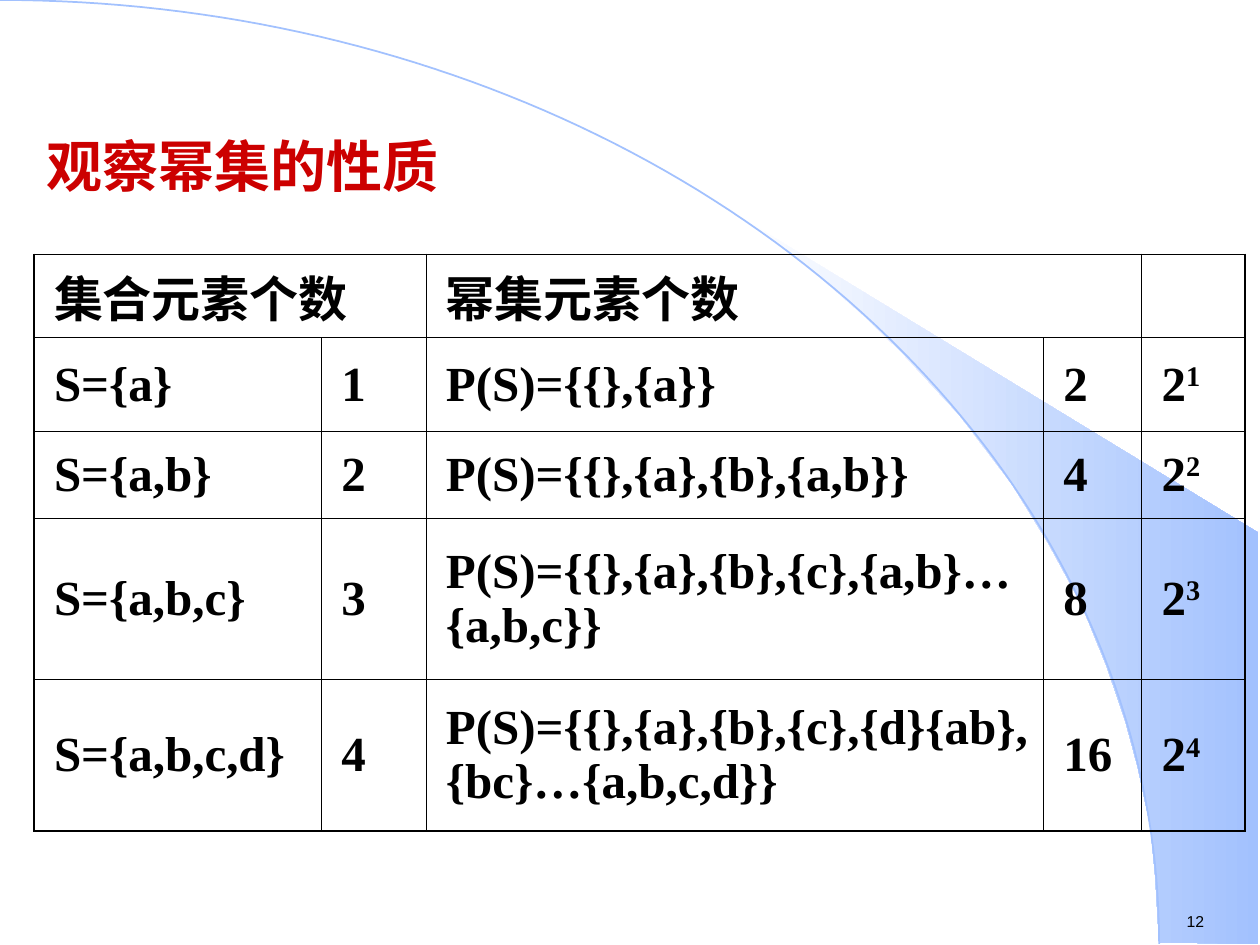
"""Build the slide on the properties of power sets."""
from collections import namedtuple
from math import cos, pi, sin

from lxml.etree import SubElement
from pptx import Presentation
from pptx.dml.color import RGBColor as Color
from pptx.enum.text import MSO_ANCHOR as Anchor, MSO_AUTO_SIZE as Fit, PP_ALIGN as Align
from pptx.oxml.ns import qn
from pptx.util import Pt

Theme = namedtuple("Theme", "ink red blue white serif sans head body small thin thick")
look = Theme(
    ink=Color.from_string("000000"), red=Color.from_string("CC0000"),
    blue=Color.from_string("A2C1FE"), white=Color.from_string("FFFFFF"),
    serif="Times New Roman", sans="Arial",
    head=Pt(32), body=Pt(28), small=Pt(9), thin=Pt(0.45), thick=Pt(1.08),
)


def style(item, color=None, **values):
    """Set each named value, and the font colour if given."""
    for name, value in values.items():
        setattr(item, name, value)
    if color is not None:
        item.color.rgb = color


def outline(slide, points, close):
    """Draw a freeform through points."""
    spots = [(Pt(x), Pt(y)) for x, y in points]
    pen = slide.shapes.build_freeform(*spots[0])
    pen.add_line_segments(spots[1:], close=close)
    shape = pen.convert_to_shape()
    shape.shadow.inherit = False
    return shape


deck = Presentation()
style(deck, slide_width=Pt(720), slide_height=Pt(540))
slide = deck.slides.add_slide(deck.slide_layouts[5])

edge = [
    (662.4, 538.6), (719.3, 539.3), (719.3, 304.6), (424.1, 124.6), (449.3, 143.3),
    (470.2, 159.8), (493.2, 180), (515.5, 201.6), (548.6, 237.6), (578.2, 276.5),
    (599, 310.3), (617.8, 344.9), (632.2, 380.2), (643, 411.8), (650.2, 438.5),
    (657.4, 472.3), (660.2, 501.1),
]
beam = outline(slide, edge, True)
beam.fill.gradient()
beam.fill.gradient_angle = 0
for stop, color in zip(beam.fill.gradient_stops, (look.white, look.blue)):
    stop.color.rgb = color
beam.line.fill.background()

wide, high, steps = 662.4, 539.3, 90
turns = [pi / 2 * step / steps for step in range(steps + 1)]
arc = outline(slide, [(wide * sin(turn), high * (1 - cos(turn))) for turn in turns], False)
arc.fill.background()
arc.line.color.rgb = look.blue
arc.line.width = Pt(1)

page = slide.shapes.add_textbox(Pt(671), Pt(517.7), Pt(49), Pt(18))
page.text_frame.word_wrap = True
page.text_frame.text = "12"
style(page.text_frame.paragraphs[0].font, look.ink, name=look.sans, size=look.small)

title = slide.shapes.title
style(title, left=Pt(19.4), top=Pt(71.3), width=Pt(668.9), height=Pt(425.5))
title.text_frame.text = "观察幂集的性质"
style(title.text_frame, vertical_anchor=Anchor.TOP, auto_size=Fit.NONE, word_wrap=True)
line = title.text_frame.paragraphs[0]
line.alignment = Align.LEFT
style(line.font, look.red, name=look.serif, size=look.head, bold=True)

cols = [164.2, 59.8, 352.8, 56.2, 59]
rows = [47.5, 53.6, 49.7, 92.2, 86.4]
sets = [
    ("S={a}", "P(S)={{},{a}}"),
    ("S={a,b}", "P(S)={{},{a},{b},{a,b}}"),
    ("S={a,b,c}", "P(S)={{},{a},{b},{c},{a,b}…{a,b,c}}"),
    ("S={a,b,c,d}", "P(S)={{},{a},{b},{c},{d}{ab},{bc}…{a,b,c,d}}"),
]
data = [["集合元素个数", "", "幂集元素个数", "", ""]]
for count, (base, power) in enumerate(sets, 1):
    data.append([base, str(count), power, str(2 ** count), "2"])

frame = slide.shapes.add_table(
    len(rows), len(cols), Pt(19.4), Pt(145.4), Pt(sum(cols)), Pt(sum(rows)))
grid = frame.table
style(grid, first_row=False, horz_banding=False)
for col, width in zip(grid.columns, cols):
    col.width = Pt(width)
for row, height in zip(grid.rows, rows):
    row.height = Pt(height)
for left in (0, 2):
    grid.cell(0, left).merge(grid.cell(0, left + 1))

inset = dict(margin_left=Pt(11.5), margin_right=Pt(5.8), margin_top=Pt(3.6),
             margin_bottom=Pt(3.6), vertical_anchor=Anchor.MIDDLE)
for y, texts in enumerate(data):
    for x, text in enumerate(texts):
        cell = grid.cell(y, x)
        style(cell, **inset)
        line = cell.text_frame.paragraphs[0]
        style(line.font, look.ink, name=look.serif, size=look.body, bold=True)
        if text:
            line.add_run().text = text
        if y and x == len(cols) - 1:
            power = line.add_run()
            power.text = str(y)
            power._r.get_or_add_rPr().set("baseline", "30000")
        for run in line.runs:
            style(run.font, look.ink, name=look.serif, size=look.body, bold=True)
        outer = dict(L=x == 0, R=x == len(cols) - 1, T=y == 0, B=y == len(rows) - 1)
        props = cell._tc.get_or_add_tcPr()
        for side, thick in outer.items():
            rule = SubElement(props, qn(f"a:ln{side}"), w=str(look.thick if thick else look.thin))
            fill = SubElement(rule, qn("a:solidFill"))
            SubElement(fill, qn("a:srgbClr"), val=str(look.ink))
        cell.fill.background()

deck.save("out.pptx")
